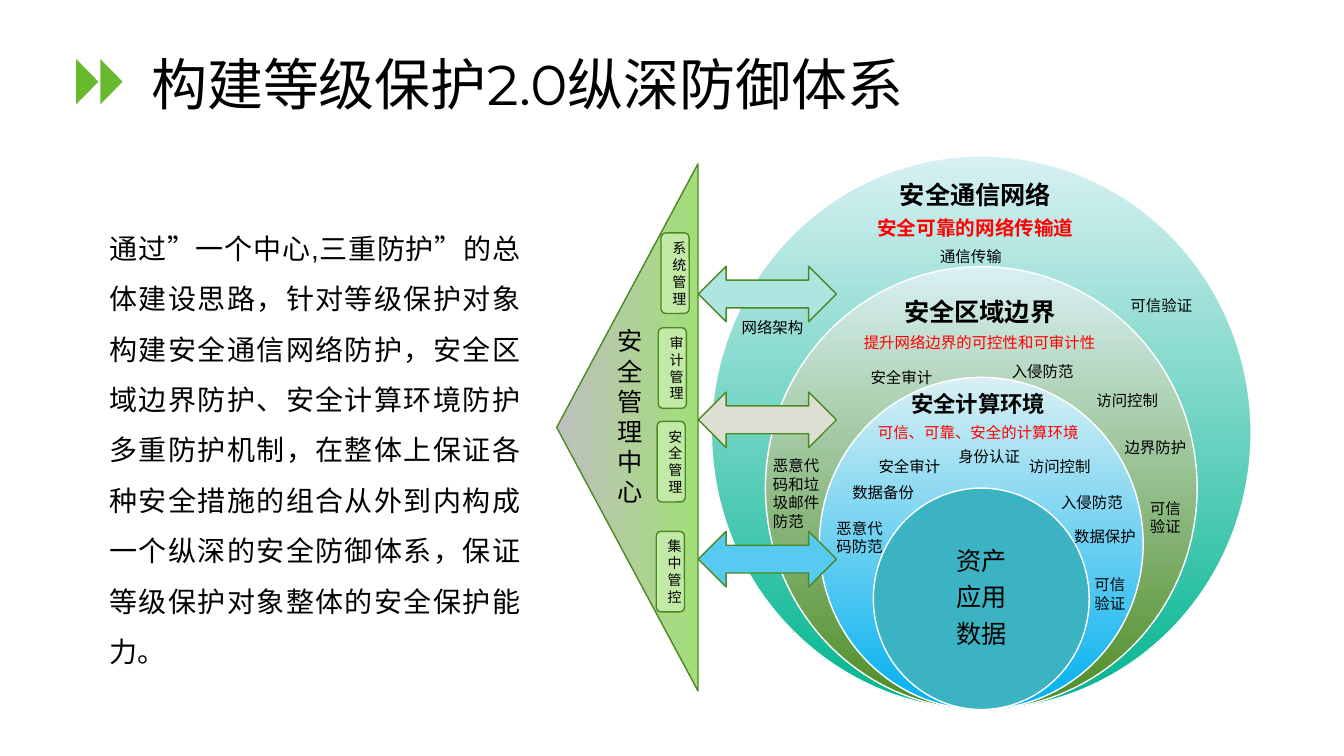
"""Build the slide on layered defence with three rings around the assets."""
from lxml.etree import SubElement
from pptx import Presentation
from pptx.dml.color import RGBColor
from pptx.enum.shapes import MSO_SHAPE as Kind
from pptx.enum.text import MSO_ANCHOR as Anchor, PP_ALIGN as Align
from pptx.oxml.ns import qn
from pptx.util import Cm, Pt

HUES = {
    "black": "000000", "red": "FF0000", "white": "FFFFFF",
    "mark": "68B92E", "edge": "4D8922", "pill": "C2E9A6",
    "pale": "D8F0F3", "teal": "00B58F", "moss": "4E8B23",
    "sky": "00B0F0", "core": "3BB3C2", "grey": "BFBFBF", "lime": "A3DE79",
    "mint": "AEE5E0", "sand": "DEDFD3", "blue": "57CAF1",
}
CJK = "Noto Sans CJK SC"


def write(shape, text, size=11, font="Arial", hue="black", bold=False,
          align=Align.LEFT, lead=1.0, after=0, wrap=True, anchor=Anchor.TOP):
    """Add the lines of text to a shape as paragraphs."""
    frame = shape.text_frame
    frame.word_wrap = wrap
    frame.vertical_anchor = anchor
    for line in text.split("\n"):
        para = frame.paragraphs[0]
        if para.runs:
            para = frame.add_paragraph()
        para.alignment = align
        para.line_spacing = lead
        para.space_after = Pt(after)
        run = para.add_run()
        run.text = line
        run.font.size = Pt(size)
        run.font.name = font
        run.font.bold = bold
        run.font.color.rgb = RGBColor.from_string(HUES[hue])
        SubElement(run.font._element, qn("a:ea"), typeface=CJK)


def draw(kind, left, top, width, height, hues, edge=None, turn=0):
    """Add a shape with a plain fill, or a gradient from two hues."""
    shape = slide.shapes.add_shape(kind, Cm(left), Cm(top), Cm(width), Cm(height))
    shape.shadow.inherit = False
    shape.rotation = turn
    if len(hues) == 1:
        shape.fill.solid()
        shape.fill.fore_color.rgb = RGBColor.from_string(HUES[hues[0]])
    else:
        shape.fill.gradient()
        shape.fill.gradient_angle = 270
        for stop, hue in zip(shape.fill.gradient_stops, hues):
            stop.color.rgb = RGBColor.from_string(HUES[hue])
    if edge:
        shape.line.color.rgb = RGBColor.from_string(HUES[edge])
        shape.line.width = Pt(1)
    else:
        shape.line.fill.background()
    return shape


deck = Presentation()
deck.slide_width, deck.slide_height = Cm(33.87), Cm(19.05)
slide = deck.slides.add_slide(deck.slide_layouts[6])
add_box = slide.shapes.add_textbox

for left in (2.24, 1.63):
    draw(Kind.ISOSCELES_TRIANGLE, left, 1.78, 1.14, 0.56, ["mark"], turn=90)

title = add_box(Cm(3.56), Cm(1.02), Cm(27.97), Cm(2.36))
write(title, "构建等级保护2.0纵深防御体系", size=40, font="Montserrat",
      lead=0.9, anchor=Anchor.MIDDLE)

body = add_box(Cm(2.51), Cm(5.28), Cm(10.85), Cm(12.01))
write(body, "通过”一个中心,三重防护”的总体建设思路，针对等级保护对象构建安全通信网络防护，"
      "安全区域边界防护、安全计算环境防护多重防护机制，在整体上保证各种安全措施的组合"
      "从外到内构成一个纵深的安全防御体系，保证等级保护对象整体的安全保护能力。",
      size=20, align=Align.JUSTIFY, lead=1.5, after=6)

mid, base = 24.73, 17.88
rings = [(5, ["pale", "teal"]), (4, ["pale", "moss"]),
         (3, ["pale", "sky"]), (2, ["core"])]
for rank, hues in rings:
    wide, high = 2.72 * rank, 2.79 * rank
    ring = draw(Kind.OVAL, mid - wide / 2, base - high, wide, high, hues, "white")
write(ring, "资产\n应用\n数据", size=18, align=Align.CENTER, lead=0.9,
      after=6.3, anchor=Anchor.MIDDLE)

for top, hue in [(6.71, "mint"), (9.88, "sand"), (13.39, "blue")]:
    draw(Kind.LEFT_RIGHT_ARROW, 17.6, top, 3.48, 1.4, [hue], "edge")

draw(Kind.FLOWCHART_EXTRACT, 9.17, 8.99, 13.28, 3.56, ["grey", "lime"],
     "edge", turn=270)

pills = [("系统管理", 16.66, 5.87), ("审计管理", 16.59, 8.26),
         ("安全管理", 16.56, 10.62), ("集中管控", 16.54, 13.39)]
for text, left, top in pills:
    pill = draw(Kind.ROUNDED_RECTANGLE, left, top, 0.71, 2.03, ["pill"], "edge")
    write(pill, text, size=10, align=Align.CENTER, anchor=Anchor.MIDDLE)

heads = [
    ("安全计算环境", 16, "可信、可靠、安全的计算环境", 11, False, 21.44, 9.78, 6.43),
    ("安全区域边界", 18, "提升网络边界的可控性和可审计性", 11, False, 21.44, 7.42, 6.5),
    ("安全通信网络", 18, "安全可靠的网络传输道", 14, True, 21.74, 4.47, 5.69),
]
for name, big, note, small, bold, left, top, wide in heads:
    head = add_box(Cm(left), Cm(top), Cm(wide), Cm(2.3))
    for text, size, hue, heavy in [(name, big, "black", True),
                                   (note, small, "red", bold)]:
        write(head, text, size=size, hue=hue, bold=heavy, align=Align.CENTER,
              lead=0.9, after=0.35 * size)

labels = [
    ("网络架构", 18.44, 7.9), ("通信传输", 23.44, 6.1),
    ("可信验证", 28.24, 7.34), ("可信\n验证", 28.73, 12.45),
    ("边界防护", 28.09, 10.92), ("访问控制", 27.38, 9.73),
    ("入侵防范", 25.25, 8.99), ("安全审计", 21.69, 9.14),
    ("恶意代码和垃圾邮件防范", 19.23, 11.38), ("安全审计", 21.89, 11.4),
    ("可信\n验证", 27.33, 14.38), ("数据保护", 26.82, 13.16),
    ("身份认证", 23.9, 11.15), ("恶意代码防范", 20.83, 12.95),
    ("访问控制", 25.68, 11.4), ("入侵防范", 26.49, 12.29),
    ("数据备份", 21.23, 12.04),
]
for text, left, top in labels:
    long = len(text) > 5
    rows = -(-len(text) // 3) if long else text.count("\n") + 1
    wide = 1.7 if long else 1.3 if rows == 2 else 2.08
    label = add_box(Cm(left), Cm(top), Cm(wide), Cm(0.27 + 0.47 * rows))
    write(label, text, font=CJK, wrap=long)

hub = add_box(Cm(15.32), Cm(8.08), Cm(1.27), Cm(4.93))
write(hub, "安全管理中心", size=18)

deck.save("out.pptx")
